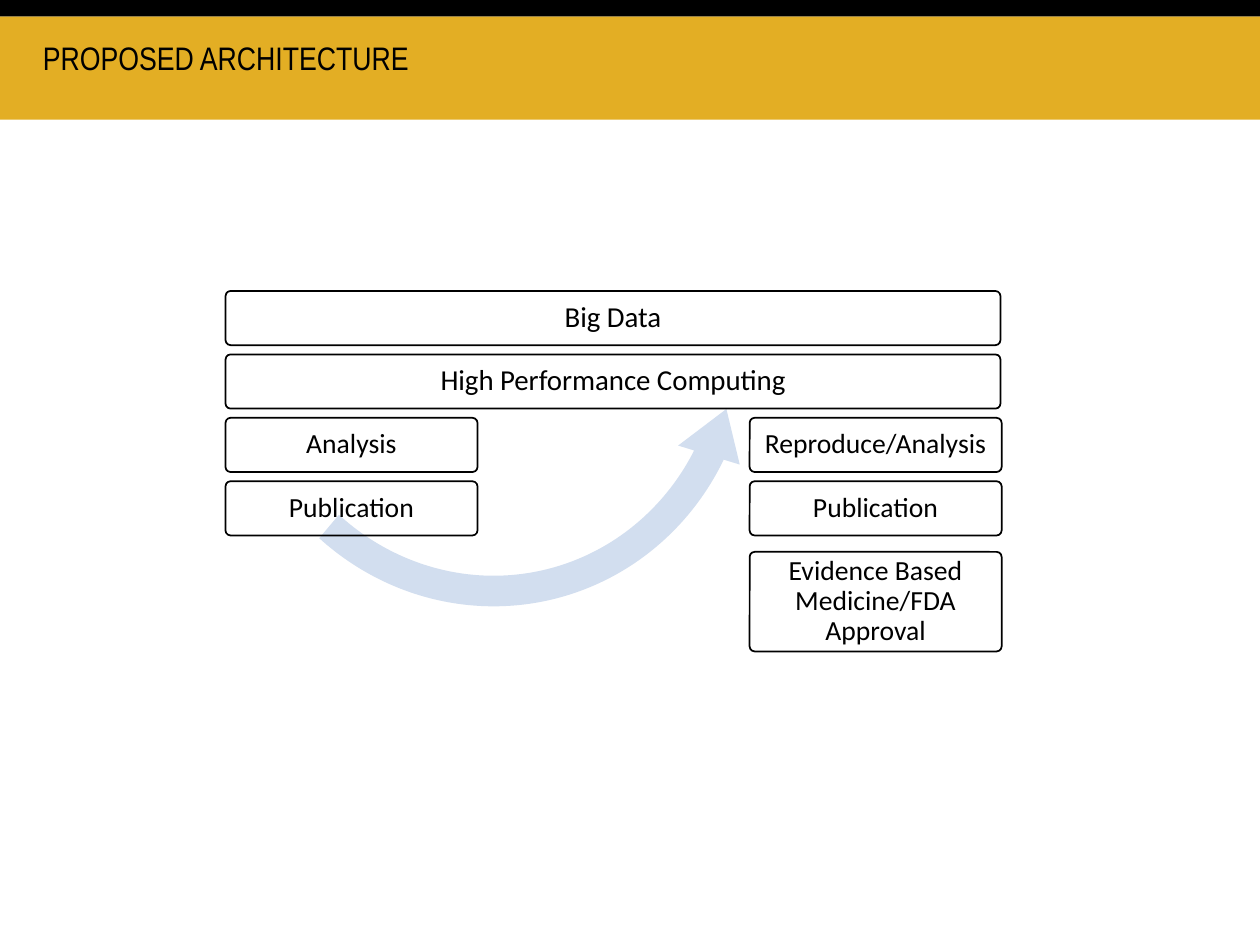
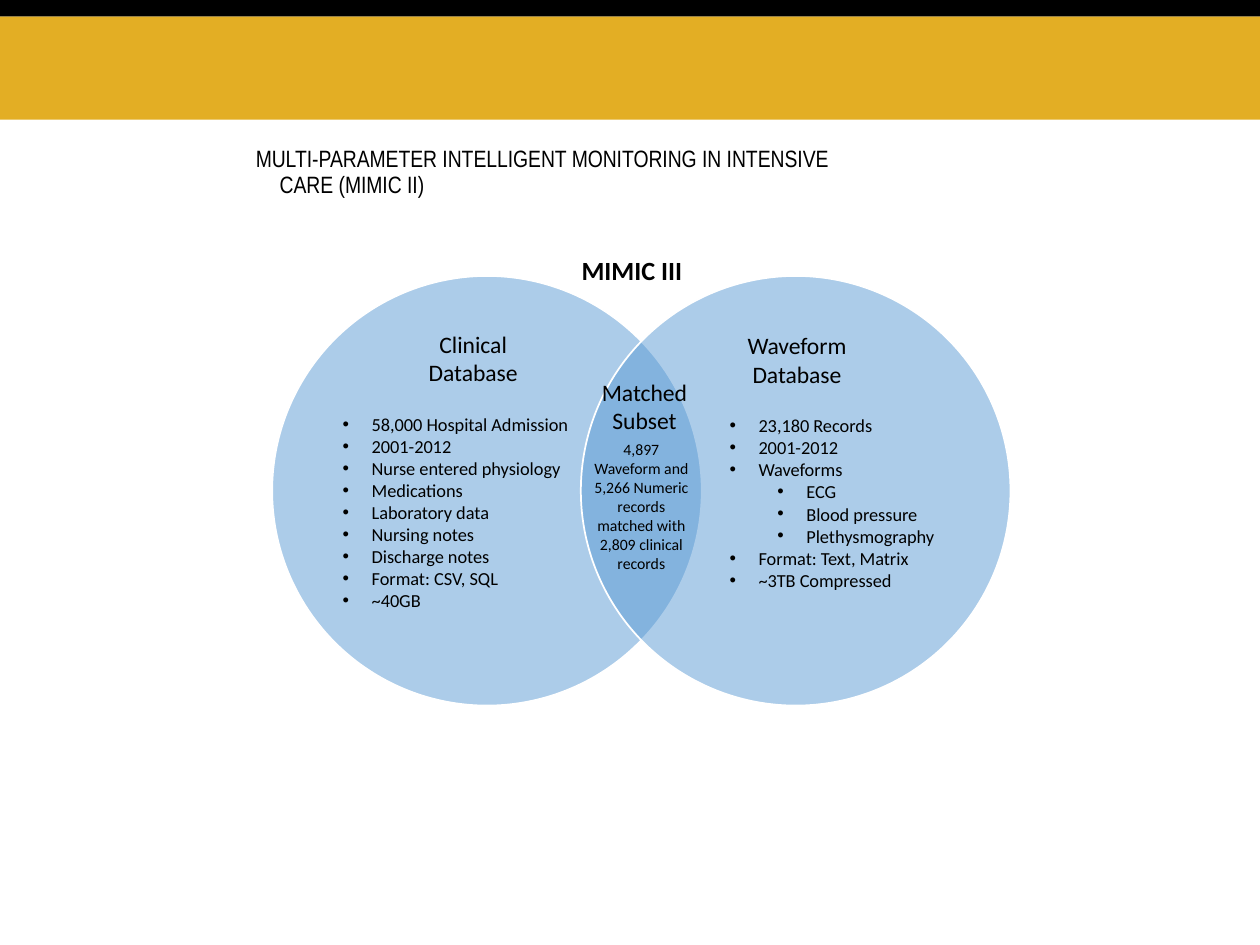
"""Build two slides on a medical data architecture and its clinical databases."""
from typing import Any, NamedTuple

import pptx
import pptx.dml.color
import pptx.enum.shapes
import pptx.enum.text
import pptx.oxml.ns
import pptx.util
from lxml import etree
from pptx.util import Inches

BLACK, WHITE, GOLD = "000000", "FFFFFF", "E3AE24"
ARROW_BLUE, CIRCLE_BLUE = "D2DEEF", "5B9BD5"
TITLE_FONT, BODY_FONT = "Arial Narrow", "Calibri"
TITLE_INDENT, BULLET_HANG, LEVEL_STEP = 0.19, 0.23, 0.38
BOX_LEFT, RIGHT_BOX_LEFT, FULL_WIDTH, HALF_WIDTH = 1.79, 5.95, 6.15, 2
FIRST_ROW_TOP, ROW_PITCH, ROW_HEIGHT = 2.31, 1.51 / 3, 0.43
ARROW_PERCENTAGES = (5.5, 681.7, 13767.6, 7675, 5.8)
CIRCLE_SIZE, CIRCLE_TOP = 3.41, 2.19

Shape = pptx.enum.shapes.MSO_SHAPE
Align = pptx.enum.text.PP_ALIGN
Anchor = pptx.enum.text.MSO_ANCHOR
AutoSize = pptx.enum.text.MSO_AUTO_SIZE


class Area(NamedTuple):
    left: float
    top: float
    width: float
    height: float


class Layer(NamedTuple):
    text: str
    area: Area
    size: float = 15.8


class Label(NamedTuple):
    text: str
    area: Area
    size: float = 13.5
    bold: bool = False


class Item(NamedTuple):
    text: str
    level: int = 0


def row_area(row: int, left: float, width: float) -> Area:
    return Area(left, FIRST_ROW_TOP + row * ROW_PITCH, width, ROW_HEIGHT)


LAYERS = (
    Layer("Big Data", row_area(0, BOX_LEFT, FULL_WIDTH), 16.5),
    Layer("High Performance Computing", row_area(1, BOX_LEFT, FULL_WIDTH), 16.5),
    Layer("Analysis", row_area(2, BOX_LEFT, HALF_WIDTH)),
    Layer("Publication", row_area(3, BOX_LEFT, HALF_WIDTH)),
    Layer("Reproduce/Analysis", row_area(2, RIGHT_BOX_LEFT, HALF_WIDTH)),
    Layer("Publication", row_area(3, RIGHT_BOX_LEFT, HALF_WIDTH)),
    Layer("Evidence Based Medicine/FDA Approval",
          Area(RIGHT_BOX_LEFT, 4.38, HALF_WIDTH, 0.79)),
)

LABELS = (
    Label("Clinical Database", Area(3.15, 2.57, 1.21, 0.56)),
    Label("Waveform Database", Area(5.72, 2.58, 1.21, 0.56)),
    Label("MIMIC III", Area(4.41, 1.97, 1.21, 0.35), 15, True),
    Label("4,897 Waveform and 5,266 Numeric records matched with 2,809 clinical records",
          Area(4.59, 3.44, 1, 1.16), 9),
    Label("Matched Subset", Area(4.51, 2.95, 1.21, 0.56)),
)

CLINICAL_ITEMS = (
    Item("58,000 Hospital Admission"), Item("2001-2012"),
    Item("Nurse entered physiology"), Item("Medications"),
    Item("Laboratory data"), Item("Nursing notes"), Item("Discharge notes"),
    Item("Format: CSV, SQL"), Item("~40GB"),
)
WAVEFORM_ITEMS = (
    Item("23,180 Records"), Item("2001-2012"), Item("Waveforms"),
    Item("ECG", 1), Item("Blood pressure", 1), Item("Plethysmography", 1),
    Item("Format: Text, Matrix"), Item("~3TB Compressed"),
)


def color(value: str) -> Any:
    return pptx.dml.color.RGBColor.from_string(value)


def place(shape: Any, area: Area) -> None:
    shape.left, shape.top, shape.width, shape.height = map(Inches, area)


def set_font(paragraph: Any, name: str, size: float, bold: bool = False) -> None:
    font = paragraph.font
    font.name, font.size, font.bold = name, pptx.util.Pt(size), bold
    font.color.rgb = color(BLACK)


def set_indent(paragraph: Any, margin: float, hang: float) -> None:
    properties = paragraph._p.get_or_add_pPr()
    properties.set("marL", str(Inches(margin)))
    properties.set("indent", str(-Inches(hang)))


def add_shape(slide: Any, kind: Any, area: Area, fill: str | None = None,
              line: str | None = None) -> Any:
    shape = slide.shapes.add_shape(kind, *map(Inches, area))
    shape.shadow.inherit = False
    if fill:
        shape.fill.solid()
        shape.fill.fore_color.rgb = color(fill)
    else:
        shape.fill.background()
    if line:
        shape.line.color.rgb = color(line)
        shape.line.width = pptx.util.Pt(1)
    else:
        shape.line.fill.background()
    return shape


def add_bands(presentation: Any, slide: Any) -> None:
    """Draw the shared bands and move them to the slide master."""
    master_shapes = presentation.slide_master.shapes.element
    for area, fill in ((Area(0, 0, 10, 0.13), BLACK), (Area(0, 0.13, 10, 0.82), GOLD)):
        band = add_shape(slide, Shape.RECTANGLE, area, fill)
        master_shapes.insert(2, band.element)


def set_title(slide: Any, text: str, area: Area, size: float) -> None:
    title = slide.shapes.title
    place(title, area)
    frame = title.text_frame
    frame.text = text
    frame.word_wrap, frame.auto_size = True, AutoSize.NONE
    frame.vertical_anchor = Anchor.TOP
    paragraph = frame.paragraphs[0]
    paragraph.alignment, paragraph.line_spacing = Align.LEFT, 0.9
    set_indent(paragraph, TITLE_INDENT, TITLE_INDENT)
    set_font(paragraph, TITLE_FONT, size)


def add_layer(slide: Any, layer: Layer) -> None:
    box = add_shape(slide, Shape.ROUNDED_RECTANGLE, layer.area, line=BLACK)
    box.adjustments[0] = 0.04 / layer.area.height
    frame = box.text_frame
    frame.text = layer.text
    frame.word_wrap, frame.vertical_anchor = True, Anchor.MIDDLE
    frame.margin_left = frame.margin_right = Inches(0.08)
    frame.margin_top = frame.margin_bottom = Inches(0.08)
    paragraph = frame.paragraphs[0]
    paragraph.alignment, paragraph.line_spacing = Align.CENTER, 0.9
    set_font(paragraph, BODY_FONT, layer.size)


def add_label(slide: Any, label: Label) -> None:
    frame = slide.shapes.add_textbox(*map(Inches, label.area)).text_frame
    frame.text = label.text
    frame.word_wrap, frame.auto_size = True, AutoSize.SHAPE_TO_FIT_TEXT
    paragraph = frame.paragraphs[0]
    paragraph.alignment = Align.CENTER
    set_font(paragraph, BODY_FONT, label.size, label.bold)


def add_circle(slide: Any, left: float) -> None:
    area = Area(left, CIRCLE_TOP, CIRCLE_SIZE, CIRCLE_SIZE)
    circle = add_shape(slide, Shape.OVAL, area, CIRCLE_BLUE, WHITE)
    qn = pptx.oxml.ns.qn
    fill_color = circle.element.spPr.find(qn("a:solidFill")).find(qn("a:srgbClr"))
    etree.SubElement(fill_color, qn("a:alpha"), val="50000")


def fill_list(slide: Any, index: int, area: Area, items: tuple[Item, ...]) -> None:
    """Fill a body placeholder with bullets and bring it in front of the circles."""
    placeholder = slide.placeholders[index]
    place(placeholder, area)
    slide.shapes.element.append(placeholder.element)
    frame = placeholder.text_frame
    frame.text = "\n".join(item.text for item in items)
    frame.word_wrap, frame.auto_size = True, AutoSize.NONE
    frame.vertical_anchor = Anchor.TOP
    for paragraph, item in zip(frame.paragraphs, items):
        paragraph.level = item.level
        paragraph.space_before = pptx.util.Pt(0)
        set_indent(paragraph, BULLET_HANG + item.level * LEVEL_STEP, BULLET_HANG)
        properties = paragraph._p.get_or_add_pPr()
        etree.SubElement(properties, pptx.oxml.ns.qn("a:buFont"), typeface="Arial")
        etree.SubElement(properties, pptx.oxml.ns.qn("a:buChar"), char="•")
        set_font(paragraph, BODY_FONT, 10.5)


def build_architecture(slide: Any) -> None:
    set_title(slide, "PROPOSED ARCHITECTURE", Area(0.24, 0.29, 8.96, 0.75), 18.6)
    arrow = add_shape(slide, Shape.CIRCULAR_ARROW, Area(1.6, 0.46, 4.57, 4.41), ARROW_BLUE)
    for index, percentage in enumerate(ARROW_PERCENTAGES):
        arrow.adjustments[index] = percentage / 100
    arrow.rotation = 258
    arrow.element.spPr.xfrm.set("flipV", "1")
    for layer in LAYERS:
        add_layer(slide, layer)


def build_databases(slide: Any) -> None:
    set_title(slide, "MULTI-PARAMETER INTELLIGENT MONITORING IN INTENSIVE CARE (MIMIC II)",
              Area(1.93, 1.12, 5.2, 0.37), 13.5)
    for left in (2.16, 4.61):
        add_circle(slide, left)
    fill_list(slide, 1, Area(2.62, 3.23, 2.14, 1.87), CLINICAL_ITEMS)
    fill_list(slide, 2, Area(5.69, 3.24, 2.14, 1.51), WAVEFORM_ITEMS)
    for label in LABELS:
        add_label(slide, label)


def main() -> None:
    presentation = pptx.Presentation()
    presentation.slide_width, presentation.slide_height = Inches(10), Inches(7.5)
    layouts = presentation.slide_layouts
    architecture = presentation.slides.add_slide(layouts.get_by_name("Title Only"))
    add_bands(presentation, architecture)
    build_architecture(architecture)
    build_databases(presentation.slides.add_slide(layouts.get_by_name("Two Content")))
    presentation.save("out.pptx")


if __name__ == "__main__":
    main()
